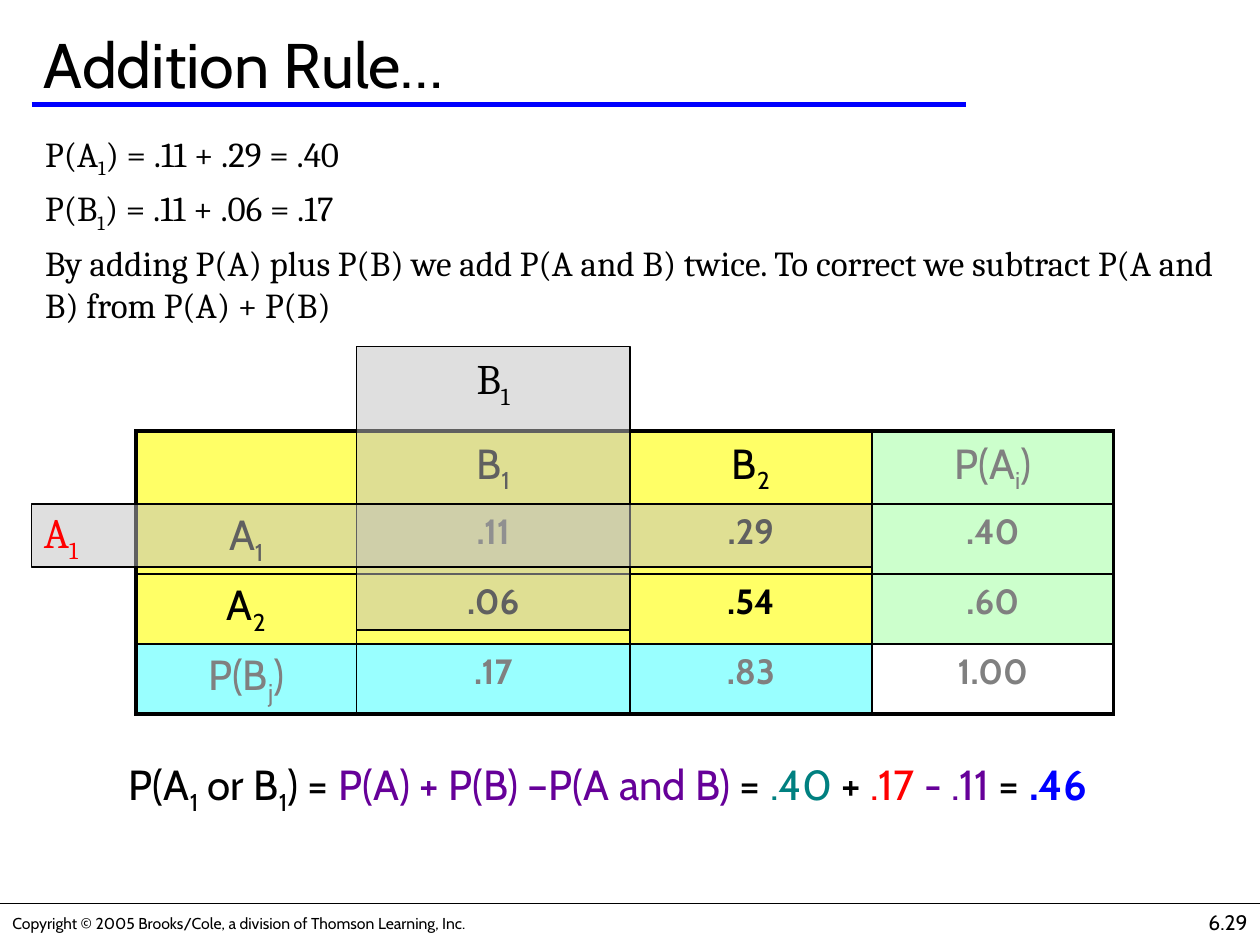
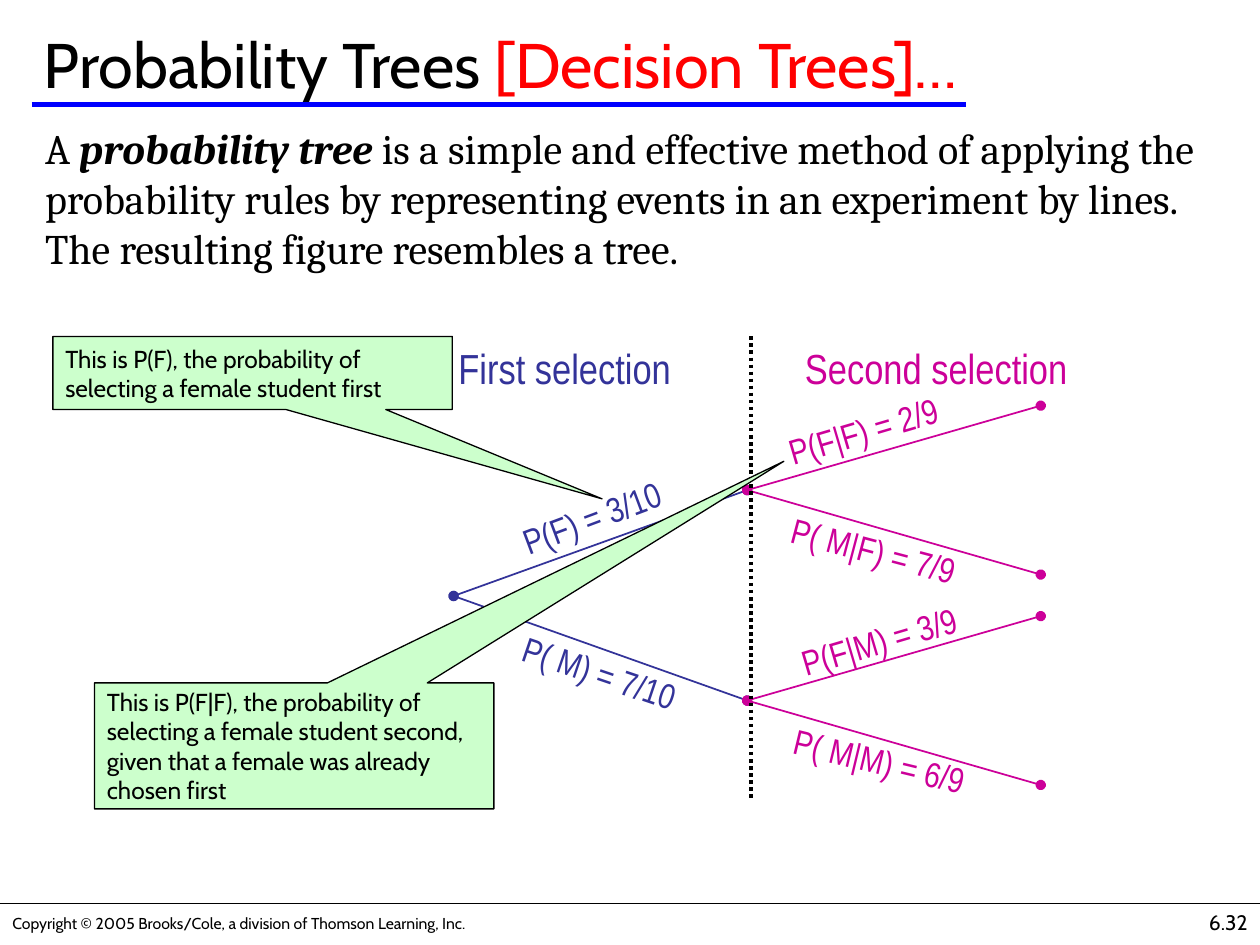
from lxml.etree import SubElement
from pptx import Presentation
from pptx.dml.color import RGBColor
from pptx.enum.dml import MSO_LINE
from pptx.enum.shapes import MSO_CONNECTOR, MSO_SHAPE
from pptx.enum.text import MSO_ANCHOR, PP_ALIGN
from pptx.oxml import parse_xml
from pptx.oxml.ns import nsdecls, qn
from pptx.util import Inches, Pt

SANS, SERIF, NARROW = "Cabin", "Cambria", "Arial Narrow"
BLACK, RED, BLUE, GRAY = "000000", "FF0000", "0000FF", "808080"
YELLOW, GREEN, CYAN, WHITE = "FFFF66", "CCFFCC", "99FFFF", "FFFFFF"
PURPLE, TEAL, SILVER = "660099", "008080", "C0C0C0"
NAVY, MAGENTA = "333399", "CC0099"
LEFT, CENTER, RIGHT = PP_ALIGN.LEFT, PP_ALIGN.CENTER, PP_ALIGN.RIGHT
TOP, MIDDLE = MSO_ANCHOR.TOP, MSO_ANCHOR.MIDDLE


def paint(target, color):
    """Give a fill or a font a solid hex colour."""
    if hasattr(target, "solid"):
        target.solid()
        target.fore_color.rgb = RGBColor.from_string(color)
    else:
        target.color.rgb = RGBColor.from_string(color)


def write(frame, *paragraphs, size=24, font=SANS, color=BLACK, bold=False,
          align=LEFT, anchor=TOP, wrap=True, gap=0):
    """Write paragraphs: a string, or a list of (text, changes) runs.

    Text between a pair of underscores is set as subscript.
    """
    frame.word_wrap = wrap
    frame.vertical_anchor = anchor
    for index, content in enumerate(paragraphs):
        paragraph = frame.add_paragraph() if index else frame.paragraphs[0]
        paragraph.alignment = align
        if index:
            paragraph.space_before = Pt(gap)
        runs = [(content, {})] if isinstance(content, str) else content
        for text, changes in runs:
            for part, piece in enumerate(text.split("_")):
                if not piece:
                    continue
                run = paragraph.add_run()
                run.text = piece
                run.font.name = font
                run.font.size = Pt(size)
                run.font.bold = changes.get("bold", bold)
                run.font.italic = changes.get("italic", False)
                paint(run.font, changes.get("color", color))
                if part % 2:
                    run.font._element.set("baseline", "-25000")


presentation = Presentation()
presentation.slide_width, presentation.slide_height = Inches(10), Inches(7.5)
blank = presentation.slide_layouts[6]
addition = presentation.slides.add_slide(blank)
tree = presentation.slides.add_slide(blank)

# Text boxes: slide, place, paragraphs, format
COPYRIGHT = "Copyright © 2005 Brooks/Cole, a division of Thomson Learning, Inc."
boxes = []
for slide, number, title in (
    (addition, "6.29", "Addition Rule…"),
    (tree, "6.32", [("Probability Trees ", {}),
                    ("[Decision Trees]…", {"color": RED})]),
):
    boxes += [
        (slide, (0, 7.2, 4.78, 0.25), [COPYRIGHT], dict(size=9, anchor=MIDDLE)),
        (slide, (7.92, 7.17, 2.08, 0.33), [number], dict(size=12, align=RIGHT)),
        (slide, (0.25, 0.17, 9.58, 0.67), [title], dict(size=36, anchor=MIDDLE)),
    ]

boxes += [
    (addition, (0.26, 1, 9.74, 6),
     ["P(A_1_) = .11 + .29 = .40",
      "P(B_1_) = .11 + .06 = .17",
      "By adding P(A) plus P(B) we add P(A and B) twice. To correct we "
      "subtract P(A and B) from P(A) + P(B)"],
     dict(size=20, font=SERIF, gap=4)),
    (addition, (0.1, 6, 9.45, 0.5),
     [[("P(A_1_ or B_1_) =", {}),
       (" P(A) + P(B) –P(A and B) ", {"color": PURPLE}),
       ("= ", {}), (".40 ", {"color": TEAL}),
       ("+ ", {}), (".17", {"color": RED}),
       (" - .11 ", {"color": PURPLE}),
       ("= ", {}), (".46", {"color": BLUE, "bold": True})]],
     dict(align=CENTER, anchor=MIDDLE, wrap=False)),
    (tree, (0.26, 0.92, 9.74, 6.25),
     [[("A ", {}), ("probability tree", {"bold": True, "italic": True}),
       (" is a simple and effective method of applying the probability rules "
        "by representing events in an experiment by lines. The resulting "
        "figure resembles a tree.", {})]],
     dict(font=SERIF)),
    (tree, (3.54, 2.67, 1.89, 0.5), ["First selection"],
     dict(font=NARROW, color=NAVY, wrap=False)),
    (tree, (6.29, 2.67, 2.29, 0.5), ["Second selection"],
     dict(font=NARROW, color=MAGENTA, wrap=False)),
]
for slide, place, paragraphs, style in boxes:
    box = slide.shapes.add_textbox(*map(Inches, place))
    write(box.text_frame, *paragraphs, **style)

# Lines: slide, from, to, colour, width, kind
lines = []
for slide in (addition, tree):
    lines += [
        (slide, (0, 7.17), (10, 7.17), BLACK, 0.75, "plain"),
        (slide, (0.25, 0.83), (7.67, 0.83), BLUE, 2.5, "plain"),
    ]
root = (3.6, 4.73)
nodes = [(5.93, 3.89), (5.93, 5.56)]
lines += [(tree, root, node, NAVY, 1, "branch") for node in nodes]
for x, y in nodes:
    for rise in (-0.67, 0.67):
        lines.append((tree, (x, y), (8.26, y + rise), MAGENTA, 1, "branch"))
lines.append((tree, (5.96, 2.67), (5.96, 6.33), BLACK, 2, "dotted"))

for slide, start, end, color, width, kind in lines:
    connector = slide.shapes.add_connector(
        MSO_CONNECTOR.STRAIGHT, *map(Inches, start + end))
    paint(connector.line.fill, color)
    connector.line.width = Pt(width)
    if kind == "dotted":
        connector.line.dash_style = MSO_LINE.ROUND_DOT
    if kind == "branch":
        for tip in ("a:headEnd", "a:tailEnd"):
            SubElement(connector.line._get_or_add_ln(), qn(tip), type="oval")
    SubElement(connector._element.spPr, qn("a:effectLst"))

# Branch labels, without side margins so that each stays on one line
for text, place, angle, color in (
    ("P(F) = 3/10", (4.02, 3.89, 1.35, 0.43), 339.5, NAVY),
    ("P( M) = 7/10", (4.03, 5.12, 1.46, 0.43), 18.7, NAVY),
    ("P(F|M) = 3/9", (6.24, 4.87, 1.47, 0.43), 343.6, MAGENTA),
    ("P(F|F) = 2/9", (6.14, 3.2, 1.42, 0.43), 343.6, MAGENTA),
    ("P( M|M) = 6/9", (6.19, 5.82, 1.58, 0.43), 13.5, MAGENTA),
    ("P( M|F) = 7/9", (6.17, 4.15, 1.53, 0.43), 14.8, MAGENTA),
):
    label = tree.shapes.add_textbox(*map(Inches, place))
    label.rotation = angle
    label.text_frame.margin_left = label.text_frame.margin_right = 0
    write(label.text_frame, text, size=20, font=NARROW, color=color,
          align=CENTER, wrap=False)

# Joint probability table
rows = [
    ["", "B_1_", "B_2_", "P(A_i_)"],
    ["A_1_", ".11", ".29", ".40"],
    ["A_2_", ".06", ".54", ".60"],
    ["P(B_j_)", ".17", ".83", "1.00"],
]
table = addition.shapes.add_table(
    4, 4, Inches(1.08), Inches(3.42), Inches(7.75), Inches(2.08)).table
table.first_row = table.horz_banding = False
for column, width in zip(table.columns, (1.75, 2.17, 1.92, 1.92)):
    column.width = Inches(width)
for row, height in zip(table.rows, (0.58, 0.5, 0.5, 0.5)):
    row.height = Inches(height)
for r, texts in enumerate(rows):
    for c, text in enumerate(texts):
        cell = table.cell(r, c)
        last_row, last_column = r == 3, c == 3
        if last_row:
            fill = WHITE if last_column else CYAN
        else:
            fill = GREEN if last_column else YELLOW
        paint(cell.fill, fill)
        is_value = r > 0 and c > 0
        write(cell.text_frame, text, size=20 if is_value else 24, bold=is_value,
              color=GRAY if last_row or last_column else BLACK, align=CENTER)
        cell.vertical_anchor = TOP if r else MIDDLE
        # Thick outer frame, thin inner grid
        outer = {"L": c == 0, "R": last_column, "T": r == 0, "B": last_row}
        for position, (side, thick) in enumerate(outer.items()):
            border = parse_xml(
                f'<a:ln{side} {nsdecls("a")} w="{Pt(2.25 if thick else 1)}">'
                f'<a:solidFill><a:srgbClr val="{BLACK}"/></a:solidFill>'
                f'</a:ln{side}>')
            cell._tc.get_or_add_tcPr().insert(position, border)

# Translucent bands over the table, and callouts on the tree
RECTANGLE, CALLOUT = MSO_SHAPE.RECTANGLE, MSO_SHAPE.RECTANGULAR_CALLOUT
for slide, kind, place, tip, fill, text, style in (
    (addition, RECTANGLE, (2.83, 2.75, 2.17, 2.25), (), SILVER, "B_1_",
     dict(font=SERIF, align=CENTER)),
    (addition, RECTANGLE, (0.25, 4, 6.67, 0.5), (), SILVER, "A_1_",
     dict(font=SERIF, color=RED, anchor=MIDDLE)),
    (tree, CALLOUT, (0.42, 2.67, 3.17, 0.58), (0.875, 1.723), GREEN,
     "This is P(F), the probability of selecting a female student first",
     dict(size=14, anchor=MIDDLE)),
    (tree, CALLOUT, (0.75, 5.42, 3.17, 1), (1.226, -2.259), GREEN,
     "This is P(F|F), the probability of selecting a female student second, "
     "given that a female was already chosen first",
     dict(size=14, anchor=MIDDLE)),
):
    shape = slide.shapes.add_shape(kind, *map(Inches, place))
    shape.shadow.inherit = False
    paint(shape.fill, fill)
    paint(shape.line.fill, BLACK)
    shape.line.width = Pt(0.75)
    for index, offset in enumerate(tip):
        shape.adjustments[index] = offset
    if kind == RECTANGLE:
        tint = shape._element.spPr.find(qn("a:solidFill"))[0]
        SubElement(tint, qn("a:alpha"), val="50000")
    write(shape.text_frame, text, **style)

presentation.save("out.pptx")
